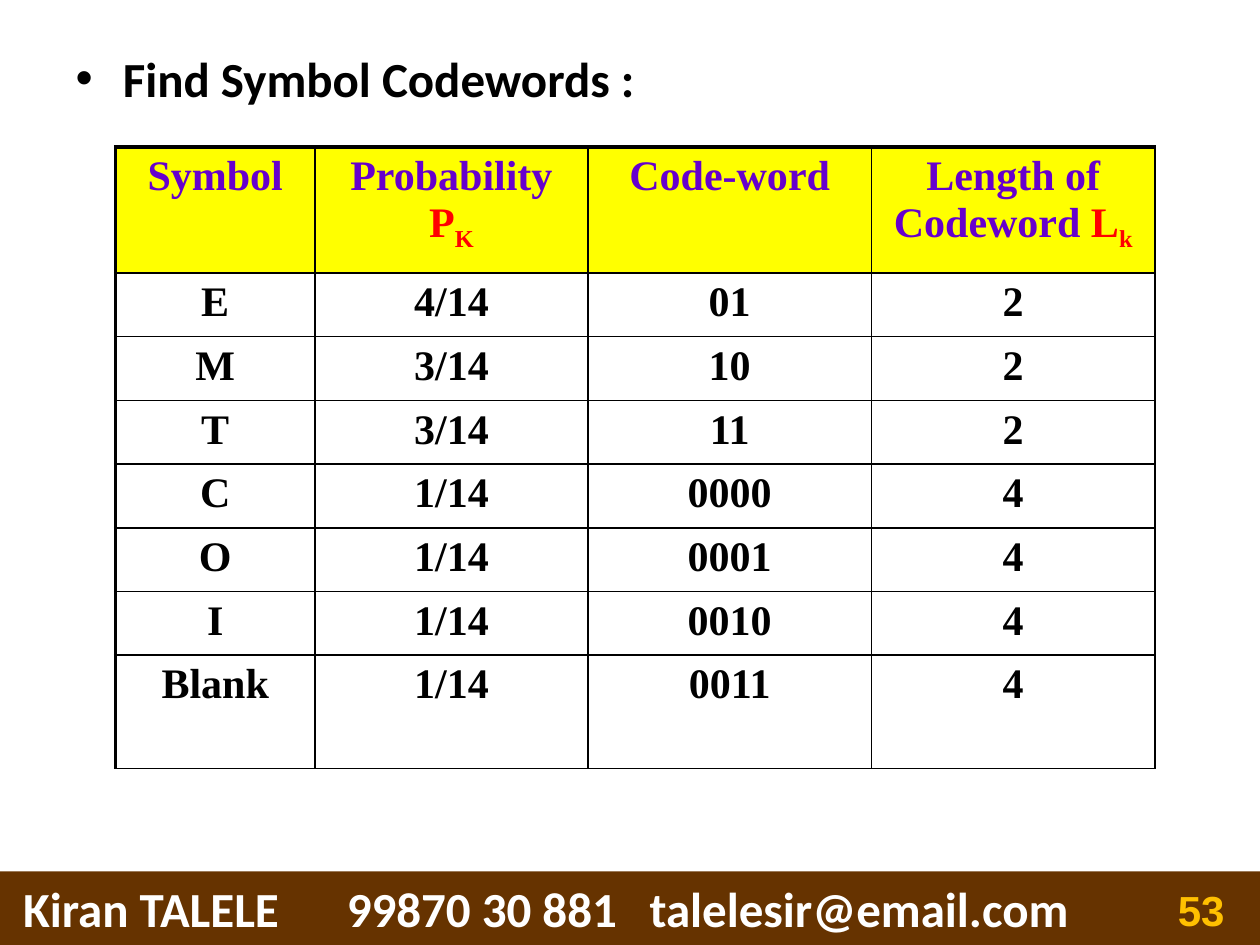
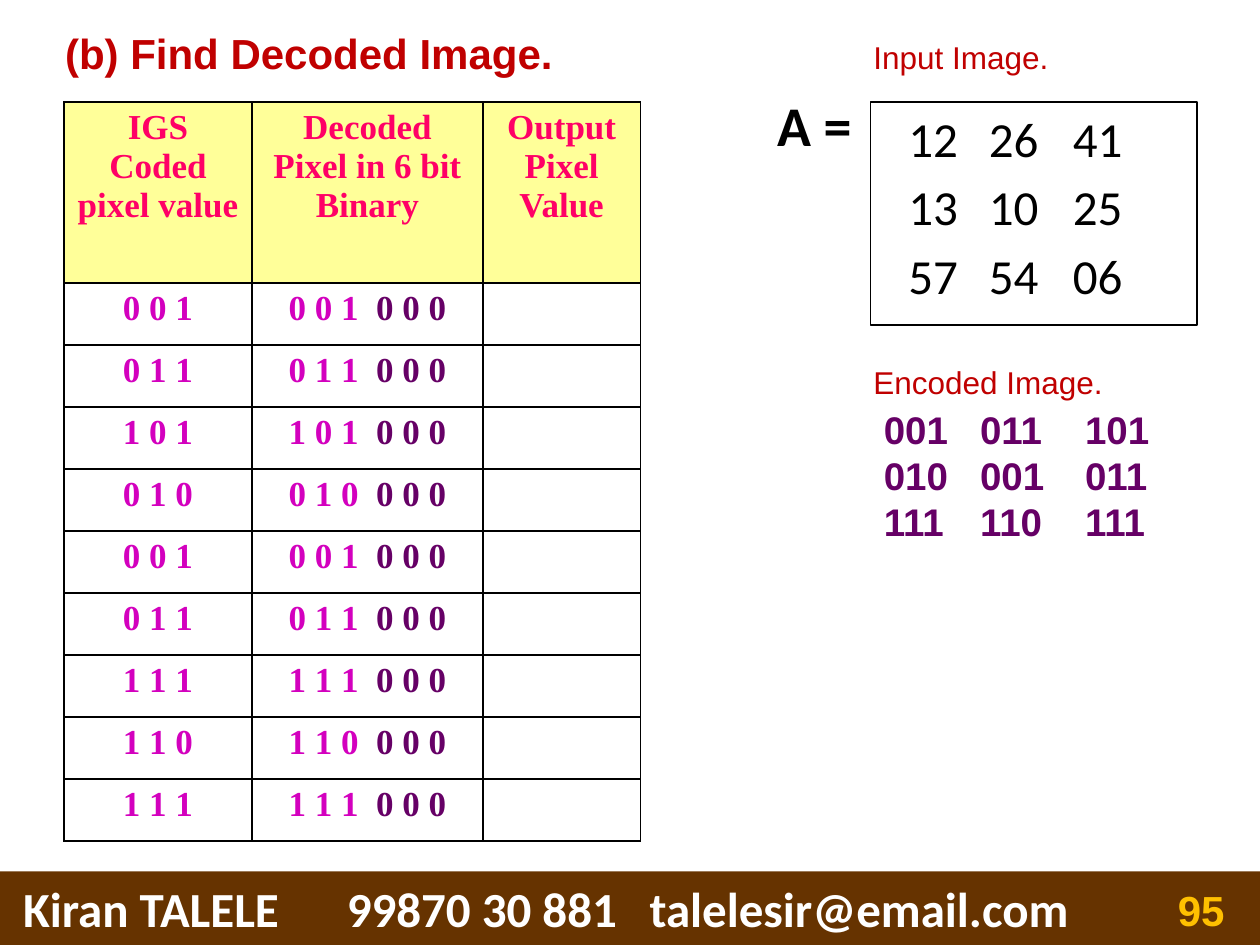
from collections import namedtuple
from dataclasses import dataclass

from pptx import Presentation
from pptx.dml.color import RGBColor as Rgb
from pptx.enum.shapes import MSO_SHAPE as Shape
from pptx.enum.text import MSO_ANCHOR as Anchor, MSO_AUTO_SIZE as AutoSize, PP_ALIGN as Align
from pptx.oxml.ns import qn
from pptx.util import Pt
from lxml.etree import SubElement

Box = namedtuple("Box", "left top width height")
Style = namedtuple("Style", "font size color bold")
Span = namedtuple("Span", "text color subscript spacing", defaults=(None, False, 0))


@dataclass(frozen=True)
class Theme:
    black: str = "000000"
    white: str = "FFFFFF"
    brown: str = "663300"
    yellow: str = "FFFF00"
    pale_yellow: str = "FFFF99"
    red: str = "FF0000"
    plum: str = "660066"
    heading: Style = Style("Calibri", 28, "000000", True)
    question: Style = Style("Arial", 24, "C00000", True)
    contact: Style = Style("Calibri", 28, "FFFFFF", True)
    page: Style = Style("Arial", 24, "FFC000", True)
    code_header: Style = Style("Times New Roman", 24, "6600CC", True)
    code_body: Style = Style("Times New Roman", 24, "000000", True)
    pixel_header: Style = Style("Times New Roman", 20, "FF0066", True)
    pixel_body: Style = Style("Times New Roman", 20, "D300BE", True)
    caption: Style = Style("Arial", 18, "C00000", False)
    matrix: Style = Style("Calibri", 28, "000000", False)
    matrix_name: Style = Style("Calibri", 32, "000000", True)
    encoded: Style = Style("Arial", 22, "660066", True)
    thin: float = 1
    thick: float = 2.25
    outline: float = 0.75


THEME = Theme()
SLIDE = Box(0, 0, 720, 540)
FOOTER = Box(0, 498, 720, 42)
CONTACT = ("Kiran TALELE", "99870 30 881", "talelesir@email.com")


def points(box):
    return [Pt(length) for length in box]


def format_run(run, style, color=None):
    font = run.font
    font.name, font.size, font.bold = style.font, Pt(style.size), style.bold
    font.color.rgb = Rgb.from_string(color or style.color)


def write(frame, lines, style, anchor=Anchor.TOP, align=Align.LEFT, gap=0):
    frame.word_wrap = True
    frame.auto_size = AutoSize.NONE
    frame.vertical_anchor = anchor
    frame.text = "\n".join(lines)
    for index, paragraph in enumerate(frame.paragraphs):
        paragraph.alignment = align
        if index and gap:
            paragraph.space_before = Pt(gap)
        for run in paragraph.runs:
            format_run(run, style)


def add_bullet(paragraph, hang):
    props = paragraph._p.get_or_add_pPr()
    props.set("marL", str(Pt(hang)))
    props.set("indent", str(Pt(-hang)))
    SubElement(props, qn("a:buFont"), typeface="Arial")
    SubElement(props, qn("a:buChar"), char="•")


def set_columns(frame, inset, stops):
    """Align tabbed columns, with stops measured from the left inset."""
    frame.margin_left = Pt(inset)
    for paragraph in frame.paragraphs:
        tabs = SubElement(paragraph._p.get_or_add_pPr(), qn("a:tabLst"))
        for stop in stops:
            SubElement(tabs, qn("a:tab"), pos=str(Pt(stop)), algn="l")


def add_label(slide, box, lines, style):
    label = slide.shapes.add_textbox(*points(box))
    write(label.text_frame, lines, style)
    return label.text_frame


def add_block(slide, box, fill, line=None):
    block = slide.shapes.add_shape(Shape.RECTANGLE, *points(box))
    block.shadow.inherit = False
    block.fill.solid()
    block.fill.fore_color.rgb = Rgb.from_string(fill)
    if line:
        block.line.color.rgb = Rgb.from_string(line)
        block.line.width = Pt(THEME.outline)
    else:
        block.line.fill.background()
    return block.text_frame


def add_title(slide, box, title, style):
    heading = slide.shapes.title
    heading.left, heading.top, heading.width, heading.height = points(box)
    write(heading.text_frame, [title], style)
    return heading.text_frame.paragraphs[0]


def add_footer(slide, box, page):
    band = add_block(slide, box, THEME.brown)
    write(band, ["\t".join(CONTACT)], THEME.contact, Anchor.MIDDLE)
    set_columns(band, 13.2, (185, 358))
    number = Box(box.left + 666, box.top + 4, 48, 38)
    add_label(slide, number, [str(page)], THEME.page)


def set_borders(cell, widths):
    props = cell._tc.get_or_add_tcPr()
    for side, width in zip(("L", "R", "T", "B"), widths):
        line = SubElement(props, qn(f"a:ln{side}"), w=str(Pt(width)))
        fill = SubElement(line, qn("a:solidFill"))
        SubElement(fill, qn("a:srgbClr"), val=THEME.black)


def fill_cell(cell, lines, style, fill=None):
    """Write centred lines, each a list of spans."""
    frame = cell.text_frame
    for index, spans in enumerate(lines):
        paragraph = frame.add_paragraph() if index else frame.paragraphs[0]
        paragraph.alignment = Align.CENTER
        for span in spans:
            run = paragraph.add_run()
            run.text = span.text
            format_run(run, style, span.color)
            props = run._r.get_or_add_rPr()
            if span.subscript:
                props.set("baseline", "-25000")
            if span.spacing:
                props.set("spc", str(span.spacing * 100))
    if fill:
        cell.fill.solid()
        cell.fill.fore_color.rgb = Rgb.from_string(fill)
    else:
        cell.fill.background()


def add_grid(slide, origin, widths, heights, rows, styles, header_fill, edge):
    """Draw a table; edge is the width of its left and top outline."""
    box = Box(*origin, sum(widths), sum(heights))
    grid = slide.shapes.add_table(len(rows), len(widths), *points(box)).table
    grid.first_row = grid.horz_banding = False
    for column, width in zip(grid.columns, widths):
        column.width = Pt(width)
    for r, (row, height) in enumerate(zip(rows, heights)):
        grid.rows[r].height = Pt(height)
        for c, lines in enumerate(row):
            cell = grid.cell(r, c)
            left = THEME.thin if c else edge
            top = THEME.thin if r else edge
            set_borders(cell, (left, THEME.thin, top, THEME.thin))
            fill_cell(cell, lines, styles[min(r, 1)], None if r else header_fill)


def add_codeword_table(slide, origin):
    header = [
        [[Span("Symbol")]],
        [[Span("Probability "), Span("P", THEME.red), Span("K", THEME.red, True)]],
        [[Span("Code-word")]],
        [[Span("Length of Codeword "), Span("L", THEME.red), Span("k", THEME.red, True)]],
    ]
    codes = [
        ("E", 4, "01"), ("M", 3, "10"), ("T", 3, "11"), ("C", 1, "0000"),
        ("O", 1, "0001"), ("I", 1, "0010"), ("Blank", 1, "0011"),
    ]
    total = sum(count for _, count, _ in codes)
    body = [
        [[[Span(text)]] for text in (symbol, f"{count}/{total}", code, str(len(code)))]
        for symbol, count, code in codes
    ]
    add_grid(slide, origin, (114, 156, 162, 162), [72] + [36.4] * 6 + [64.8],
             [header] + body, (THEME.code_header, THEME.code_body), THEME.yellow, THEME.thick)


def add_decoding_table(slide, origin, encoded):
    header = [
        [[Span("IGS Coded")], [Span("pixel value")]],
        [[Span("Decoded Pixel in 6 bit Binary")]],
        [[Span("Output Pixel Value")]],
    ]
    body = []
    for code in (code for row in encoded for code in row):
        bits = " ".join(code)
        decoded = [Span(bits), Span(" ", spacing=5), Span("0 0 0", THEME.plum)]
        body.append([[[Span(bits)]], [decoded], []])
    add_grid(slide, origin, (107.4, 132, 90), [103.5] + [35.45] * len(body),
             [header] + body, (THEME.pixel_header, THEME.pixel_body),
             THEME.pale_yellow, THEME.thin)


def add_input_image(slide, box):
    pixels = [("12", "26", "41"), ("13", "10", "25"), ("57", "54", "06")]
    add_label(slide, Box(box.left + 55, box.top, 198, 29), ["Input Image."], THEME.caption)
    matrix_box = Box(box.left + 60.5, box.top + 40.3, 186.5, 127.5)
    matrix = add_block(slide, matrix_box, THEME.white, THEME.black)
    write(matrix, ["\t".join(row) for row in pixels], THEME.matrix, gap=5.6)
    set_columns(matrix, 21.6, (46, 94))
    add_label(slide, Box(box.left, box.top + 30, 71, 36), ["A ="], THEME.matrix_name)


def add_encoded_image(slide, box, encoded):
    add_label(slide, Box(box.left, box.top, box.width, 29), ["Encoded Image."], THEME.caption)
    codes_box = Box(box.left + 6, box.top + 24.5, 190, 87)
    codes = add_label(slide, codes_box, ["\t".join(row) for row in encoded], THEME.encoded)
    set_columns(codes, 7.2, (55, 115))


def new_slide(deck, page):
    slide = deck.slides.add_slide(deck.slide_layouts[5])
    add_footer(slide, FOOTER, page)
    return slide


def build_codeword_slide(deck):
    slide = new_slide(deck, 53)
    title = add_title(slide, Box(36, 24, 582, 42), "Find Symbol Codewords :", THEME.heading)
    add_bullet(title, 27)
    add_codeword_table(slide, (66, 84))


def build_decoding_slide(deck):
    encoded = [("001", "011", "101"), ("010", "001", "011"), ("111", "110", "111")]
    slide = new_slide(deck, 95)
    add_title(slide, Box(30, 12, 440, 37), "(b) Find Decoded Image.", THEME.question)
    add_decoding_table(slide, (36.6, 58.3), encoded)
    add_input_image(slide, Box(437, 18, 253, 168))
    add_encoded_image(slide, Box(492, 204, 198, 112), encoded)


def main():
    deck = Presentation()
    deck.slide_width, deck.slide_height = Pt(SLIDE.width), Pt(SLIDE.height)
    build_codeword_slide(deck)
    build_decoding_slide(deck)
    deck.save("out.pptx")


if __name__ == "__main__":
    main()
